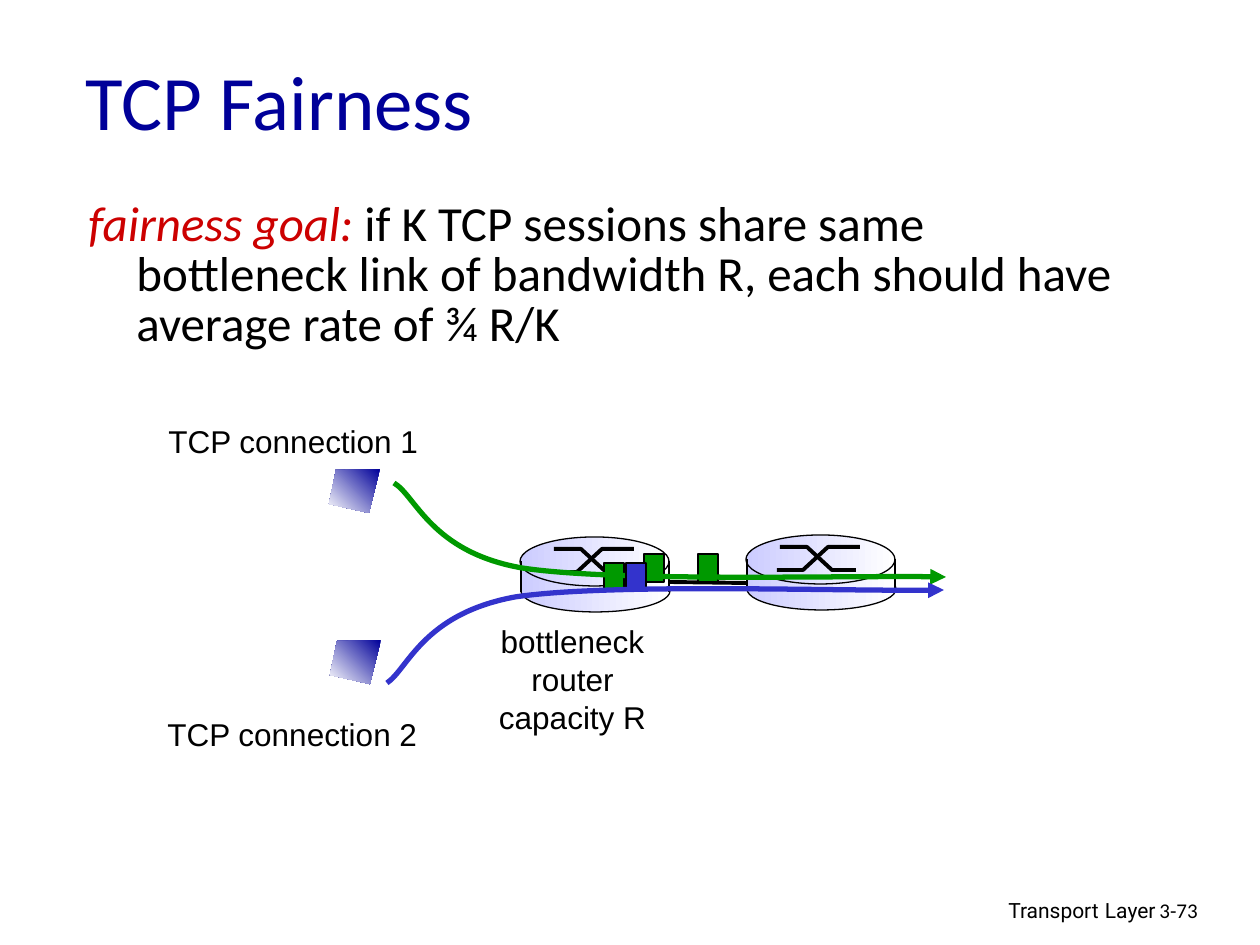
"""Build the TCP Fairness slide: two connections sharing a bottleneck router."""
from typing import NamedTuple, Optional, Sequence

from lxml import etree
from pptx import Presentation
from pptx import util as u
from pptx.dml.color import RGBColor
from pptx.enum import shapes as shp, text as txt
from pptx.oxml import ns

PX = u.Inches(1) / 126
BLACK = RGBColor(0x00, 0x00, 0x00)
WHITE = RGBColor(0xFF, 0xFF, 0xFF)
NAVY = RGBColor(0x00, 0x00, 0x99)
RED = RGBColor(0xCC, 0x00, 0x00)
GREEN = RGBColor(0x00, 0x99, 0x00)
BLUE = RGBColor(0x33, 0x33, 0xCC)
LILAC = RGBColor(0xCC, 0xCC, 0xFF)
LEFT, CENTER, RIGHT = txt.PP_ALIGN.LEFT, txt.PP_ALIGN.CENTER, txt.PP_ALIGN.RIGHT
RECT, OVAL = shp.MSO_SHAPE.RECTANGLE, shp.MSO_SHAPE.OVAL


class Point(NamedTuple):
    x: int
    y: int


class Box(NamedTuple):
    x: int
    y: int
    w: int
    h: int


class Run(NamedTuple):
    words: str
    size: Optional[int] = None
    color: Optional[RGBColor] = None
    italic: Optional[bool] = None


class Label(NamedTuple):
    box: Box
    lines: Sequence[Sequence[Run]]
    font: str
    size: int
    color: RGBColor = BLACK
    align: txt.PP_ALIGN = LEFT
    wrap: bool = True
    anchor: txt.MSO_ANCHOR = txt.MSO_ANCHOR.TOP


class Flow(NamedTuple):
    color: RGBColor
    points: Sequence[Point]


TITLE = Label(Box(73, 21, 1071, 158), [[Run("TCP Fairness")]], "Calibri", 44, NAVY,
              anchor=txt.MSO_ANCHOR.MIDDLE)
GOAL = Label(Box(76, 195, 1050, 302), [[
    Run("fairness goal:", color=RED, italic=True),
    Run(" if K TCP sessions share same bottleneck link of bandwidth R, "
        "each should have average rate of ¾ R/K")]], "Calibri", 28)
LABELS = [
    Label(Box(769, 888, 399, 39), [[Run("Transport"), Run(" ", size=14), Run("Layer")]],
          "Roboto", 12, align=RIGHT),
    Label(Box(1147, 891, 93, 38), [[Run("3-73")]], "Calibri", 12),
    Label(Box(156, 416, 276, 50), [[Run("TCP connection 1")]], "Arial", 18, wrap=False),
    Label(Box(155, 709, 276, 50), [[Run("TCP connection 2")]], "Arial", 18, wrap=False),
    Label(Box(486, 616, 173, 126),
          [[Run("bottleneck")], [Run("router")], [Run("capacity R")]],
          "Arial", 18, align=CENTER, wrap=False),
]
ROUTERS = [Point(520, 537), Point(746, 535)]
SCREENS = [Point(329, 469), Point(330, 640)]
GREEN_PACKETS = [Point(698, 554), Point(604, 563), Point(644, 554)]
BLUE_PACKET = Point(626, 563)
CONNECTION_1 = Flow(GREEN, [
    Point(394, 483), Point(416, 496), Point(431, 552), Point(522, 568),
    Point(614, 582), Point(858, 575), Point(946, 577)])
CONNECTION_2 = Flow(BLUE, [
    Point(387, 683), Point(408, 669), Point(423, 614), Point(515, 597),
    Point(609, 583), Point(856, 592), Point(944, 590)])
SCREEN_OUTLINE = [Point(51, 0), Point(7, 1), Point(0, 35), Point(40, 44)]
SWITCH_STROKES = [
    [Point(31, 35), Point(57, 35), Point(82, 12), Point(114, 12)],
    [Point(34, 12), Point(61, 12), Point(86, 35), Point(110, 35)]]


def emu(px: float) -> u.Emu:
    """Turn px into EMU."""
    return u.Emu(round(px * PX))


def shifted(points: Sequence[Point], origin: Point) -> list:
    """Move points from a local origin onto the slide."""
    return [Point(origin.x + p.x, origin.y + p.y) for p in points]


def add_label(slide, label: Label):
    """Add a text box and return its text frame."""
    frame = slide.shapes.add_textbox(*map(emu, label.box)).text_frame
    frame.word_wrap = label.wrap
    frame.vertical_anchor = label.anchor
    for index, runs in enumerate(label.lines):
        paragraph = frame.add_paragraph() if index else frame.paragraphs[0]
        paragraph.alignment = label.align
        paragraph.font.name = label.font
        paragraph.font.size = u.Pt(label.size)
        paragraph.font.color.rgb = label.color
        for part in runs:
            run = paragraph.add_run()
            run.text = part.words
            if part.size:
                run.font.size = u.Pt(part.size)
            if part.color is not None:
                run.font.color.rgb = part.color
            if part.italic:
                run.font.italic = True
    return frame


def paint_gradient(shape, start: RGBColor, angle: int) -> None:
    """Fill a shape with a gradient that fades to white."""
    shape.fill.gradient()
    shape.fill.gradient_angle = angle
    for stop, color in zip(shape.fill.gradient_stops, (start, WHITE)):
        stop.color.rgb = color


def set_line(shape, color: RGBColor, width: float) -> None:
    """Set the line colour and its width in points."""
    shape.line.color.rgb = color
    shape.line.width = u.Pt(width)


def add_freeform(slide, points: Sequence[Point], close: bool = False):
    """Add a shadowless outline through the points."""
    builder = slide.shapes.build_freeform(*points[0], scale=PX)
    builder.add_line_segments(points[1:], close=close)
    shape = builder.convert_to_shape()
    shape.shadow.inherit = False
    return shape


def add_segment(slide, start: Point, end: Point, width: float) -> None:
    """Add a straight black line."""
    line = slide.shapes.add_connector(shp.MSO_CONNECTOR.STRAIGHT, *map(emu, (*start, *end)))
    set_line(line, BLACK, width)
    etree.SubElement(line._element.spPr, ns.qn("a:effectLst"))


def add_router(slide, origin: Point) -> None:
    """Add a cylinder with crossed switching strokes."""
    parts = [(OVAL, Box(1, 33, 149, 42)), (RECT, Box(1, 29, 149, 25)), (OVAL, Box(0, 0, 149, 49))]
    for kind, box in parts:
        place = Box(origin.x + box.x, origin.y + box.y, box.w, box.h)
        part = slide.shapes.add_shape(kind, *map(emu, place))
        part.shadow.inherit = False
        paint_gradient(part, LILAC, 0)
        if kind == OVAL:
            set_line(part, BLACK, 0.75)
        else:
            part.line.fill.background()
    for points in SWITCH_STROKES:
        stroke = add_freeform(slide, shifted(points, origin))
        stroke.fill.background()
        set_line(stroke, BLACK, 2.25)
    for x in (1, 149):
        add_segment(slide, *shifted([Point(x, 24), Point(x, 55)], origin), 0.75)


def add_packet(slide, corner: Point, color: RGBColor) -> None:
    """Add one packet."""
    packet = slide.shapes.add_shape(RECT, *map(emu, (*corner, 20, 28)))
    packet.shadow.inherit = False
    packet.fill.solid()
    packet.fill.fore_color.rgb = color
    set_line(packet, BLACK, 0.75)


def add_flow(slide, flow: Flow) -> None:
    """Add a Bezier arrow; every three points after the first make one curve."""
    arrow = add_freeform(slide, flow.points)
    arrow.fill.background()
    set_line(arrow, flow.color, 3)
    outline = arrow._element.spPr.find(".//" + ns.qn("a:path"))
    steps = outline.findall(ns.qn("a:lnTo"))
    for first in range(0, len(steps), 3):
        curve = etree.SubElement(outline, ns.qn("a:cubicBezTo"))
        for step in steps[first:first + 3]:
            curve.append(step[0])
            outline.remove(step)
    etree.SubElement(arrow.line._get_or_add_ln(), ns.qn("a:tailEnd"), type="triangle")


def main() -> None:
    """Draw the slide and save it."""
    deck = Presentation()
    deck.slide_width, deck.slide_height = emu(1260), emu(945)
    slide = deck.slides.add_slide(deck.slide_layouts[6])
    add_label(slide, TITLE)
    goal = add_label(slide, GOAL).paragraphs[0]
    goal.line_spacing = 0.85
    indent = goal._p.get_or_add_pPr()
    indent.set("marL", str(emu(48)))
    indent.set("indent", str(emu(-48)))
    add_segment(slide, Point(669, 582), Point(746, 583), 2.25)
    for origin in ROUTERS:
        add_router(slide, origin)
    for corner in GREEN_PACKETS:
        add_packet(slide, corner, GREEN)
    add_flow(slide, CONNECTION_1)
    add_packet(slide, BLUE_PACKET, BLUE)
    add_flow(slide, CONNECTION_2)
    for origin in SCREENS:
        screen = add_freeform(slide, shifted(SCREEN_OUTLINE, origin), close=True)
        paint_gradient(screen, NAVY, 225)
        screen.line.fill.background()
    for label in LABELS:
        add_label(slide, label)
    deck.save("out.pptx")


if __name__ == "__main__":
    main()
